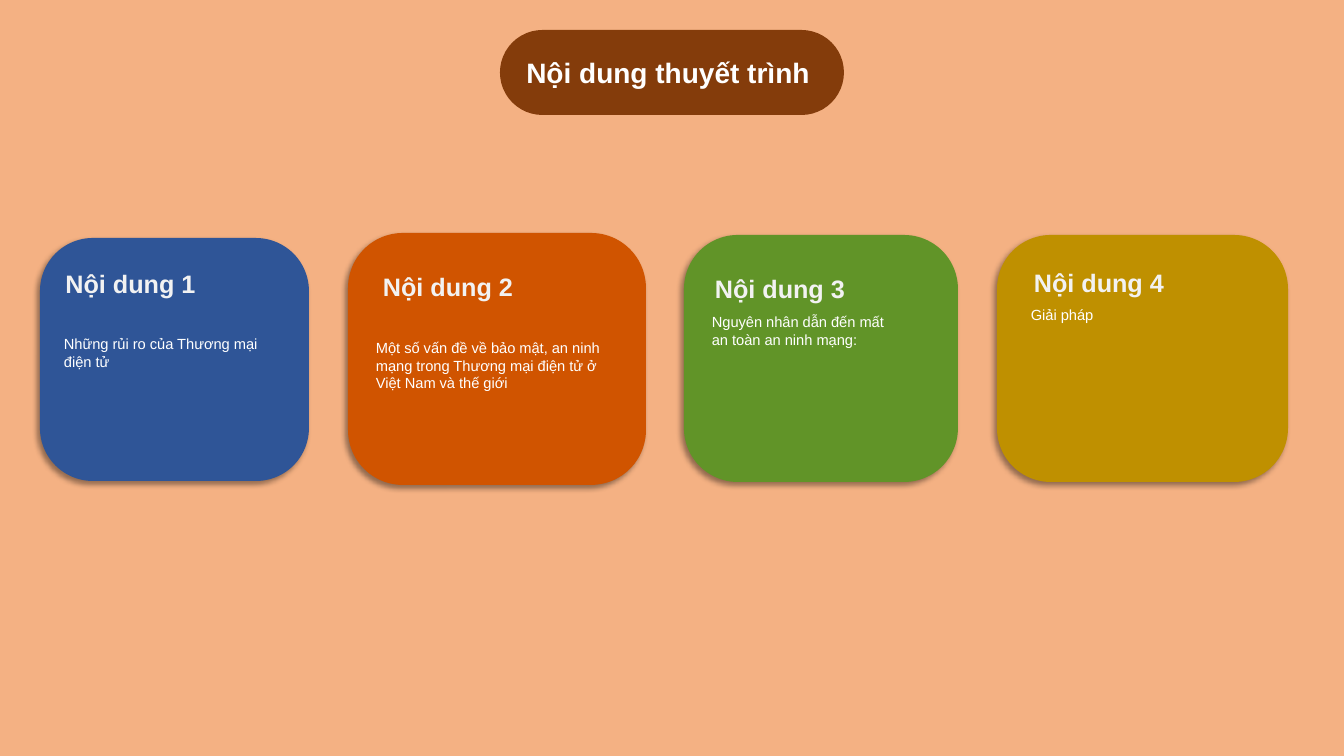
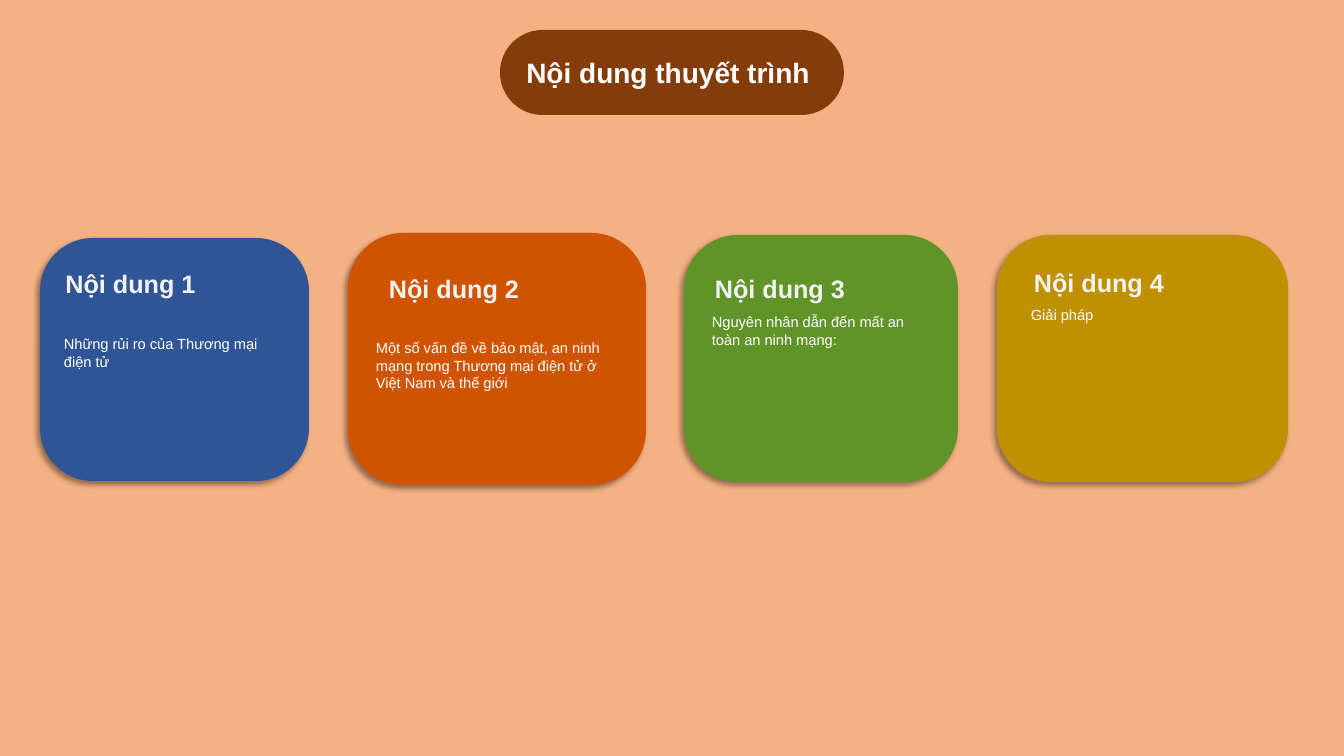
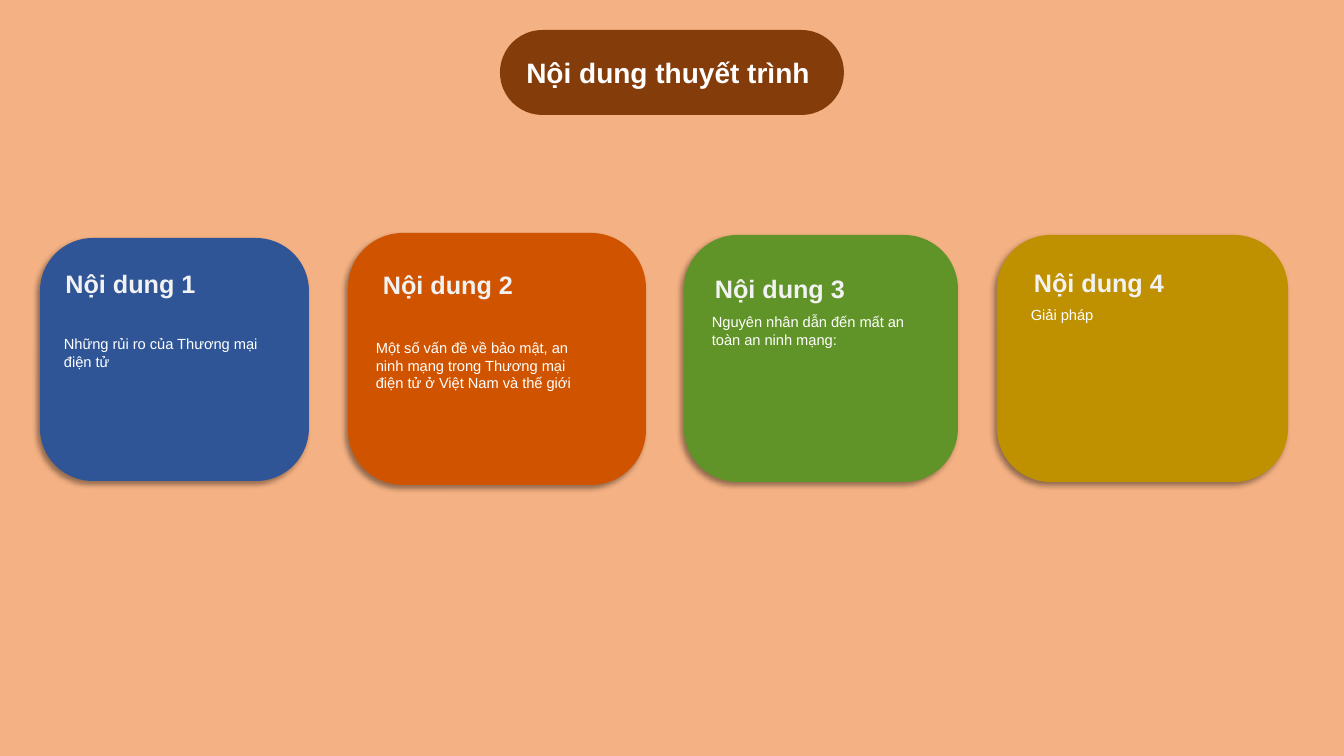
import dataclasses
import typing

import lxml.etree
import pptx
import pptx.dml.color
import pptx.enum.shapes
import pptx.enum.text
import pptx.oxml.ns
import pptx.util

RGBColor = pptx.dml.color.RGBColor
Align = pptx.enum.text.PP_ALIGN
Anchor = pptx.enum.text.MSO_ANCHOR
AutoSize = pptx.enum.text.MSO_AUTO_SIZE

SLIDE_WIDTH, SLIDE_HEIGHT = 1344, 756
EMU_PER_PX = 12192000 / SLIDE_WIDTH
FONT = "Arial"
TITLE = "Nội dung thuyết trình "
TITLE_ONLY_LAYOUT = 5

PEACH = RGBColor(0xF4, 0xB1, 0x83)
BROWN = RGBColor(0x84, 0x3C, 0x0B)
BLUE = RGBColor(0x2F, 0x55, 0x97)
ORANGE = RGBColor(0xD0, 0x54, 0x00)
GREEN = RGBColor(0x61, 0x94, 0x28)
GOLD = RGBColor(0xBF, 0x90, 0x00)
WHITE = RGBColor(0xFF, 0xFF, 0xFF)
OFF_WHITE = RGBColor(0xF2, 0xF2, 0xF2)


class Box(typing.NamedTuple):
    left: int
    top: int
    width: int
    height: int


@dataclasses.dataclass(frozen=True)
class Topic:
    heading: str
    summary: str
    color: RGBColor
    card: Box
    heading_box: Box
    summary_box: Box


TITLE_BOX = Box(500, 30, 344, 85)

RISKS = Topic(
    "Nội dung 1", "Những rủi ro của Thương mại điện tử", BLUE,
    Box(40, 238, 269, 243), Box(54, 263, 153, 47), Box(54, 330, 233, 45),
)
SECURITY = Topic(
    "Nội dung 2",
    "Một số vấn đề về bảo mật, an ninh mạng trong Thương mại điện tử ở "
    "Việt Nam và thế giới", ORANGE,
    Box(348, 233, 298, 252), Box(366, 266, 164, 44), Box(366, 334, 253, 64),
)
CAUSES = Topic(
    "Nội dung 3", "Nguyên nhân dẫn đến mất an toàn an ninh mạng:", GREEN,
    Box(684, 235, 274, 247), Box(700, 268, 160, 40), Box(702, 308, 206, 45),
)
SOLUTIONS = Topic(
    "Nội dung 4", "Giải pháp", GOLD,
    Box(997, 235, 291, 247), Box(1019, 262, 160, 40), Box(1021, 301, 180, 28),
)


class Variant(typing.NamedTuple):
    """What differs between slides in the second and third topics."""
    security_heading_left: int
    security_heading_top: int
    security_summary_width: int
    causes_summary_width: int


VARIANTS = (
    Variant(366, 266, 253, 206),
    Variant(372, 268, 256, 213),
    Variant(366, 264, 227, 218),
)


def px(length: int) -> pptx.util.Emu:
    return pptx.util.Emu(round(length * EMU_PER_PX))


def emu_box(box: Box) -> list[pptx.util.Emu]:
    return [px(length) for length in box]


def write_text(frame, text: str, *, size: float, color: RGBColor,
               bold: bool = False, align=Align.LEFT, anchor=Anchor.TOP,
               auto_size=AutoSize.NONE) -> None:
    frame.word_wrap = True
    frame.auto_size = auto_size
    frame.vertical_anchor = anchor
    paragraph = frame.paragraphs[0]
    paragraph.alignment = align
    run = paragraph.add_run()
    run.text = text
    run.font.name = FONT
    run.font.size = pptx.util.Pt(size)
    run.font.bold = bold
    run.font.color.rgb = color


def add_rounded(slide, box: Box, color: RGBColor, rounding: float):
    rounded = slide.shapes.add_shape(
        pptx.enum.shapes.MSO_SHAPE.ROUNDED_RECTANGLE, *emu_box(box))
    rounded.adjustments[0] = rounding
    rounded.fill.solid()
    rounded.fill.fore_color.rgb = color
    rounded.line.fill.background()
    rounded.shadow.inherit = False
    return rounded


def cast_shadow(shape) -> None:
    """Give the shape a soft black shadow towards the lower left."""
    qn = pptx.oxml.ns.qn
    effects = shape.element.spPr.find(qn("a:effectLst"))
    shadow = lxml.etree.SubElement(
        effects, qn("a:outerShdw"), blurRad=str(pptx.util.Pt(4)),
        dist=str(pptx.util.Pt(3)), dir=str(135 * 60000),
        algn="tr", rotWithShape="0")
    black = lxml.etree.SubElement(shadow, qn("a:srgbClr"), val="000000")
    lxml.etree.SubElement(black, qn("a:alpha"), val="40000")


def add_label(slide, box: Box, text: str, fill: RGBColor,
              **text_format) -> None:
    label = slide.shapes.add_textbox(*emu_box(box))
    label.fill.solid()
    label.fill.fore_color.rgb = fill
    write_text(label.text_frame, text,
               auto_size=AutoSize.SHAPE_TO_FIT_TEXT, **text_format)


def add_topic(slide, topic: Topic) -> None:
    cast_shadow(add_rounded(slide, topic.card, topic.color, 0.218))
    add_label(slide, topic.heading_box, topic.heading, topic.color,
              size=18, color=OFF_WHITE, bold=True, align=Align.CENTER)
    add_label(slide, topic.summary_box, topic.summary, topic.color,
              size=10.5, color=WHITE)


def add_title(slide) -> None:
    """Place the title placeholder over its brown pill."""
    pill = add_rounded(slide, TITLE_BOX, BROWN, 0.5)
    title = slide.shapes.title
    title.left, title.top, title.width, title.height = emu_box(TITLE_BOX)
    write_text(title.text_frame, TITLE, size=20, color=WHITE, bold=True,
               align=Align.CENTER, anchor=Anchor.MIDDLE)
    pill.element.addnext(title.element)


def topics_for(variant: Variant) -> tuple[Topic, ...]:
    security = dataclasses.replace(
        SECURITY,
        heading_box=SECURITY.heading_box._replace(
            left=variant.security_heading_left,
            top=variant.security_heading_top),
        summary_box=SECURITY.summary_box._replace(
            width=variant.security_summary_width))
    causes = dataclasses.replace(
        CAUSES, summary_box=CAUSES.summary_box._replace(
            width=variant.causes_summary_width))
    return RISKS, security, causes, SOLUTIONS


def main() -> None:
    deck = pptx.Presentation()
    deck.slide_width, deck.slide_height = px(SLIDE_WIDTH), px(SLIDE_HEIGHT)
    backdrop = deck.slide_master.background.fill
    backdrop.solid()
    backdrop.fore_color.rgb = PEACH
    for variant in VARIANTS:
        slide = deck.slides.add_slide(deck.slide_layouts[TITLE_ONLY_LAYOUT])
        add_title(slide)
        for topic in topics_for(variant):
            add_topic(slide, topic)
    deck.save("out.pptx")


if __name__ == "__main__":
    main()
